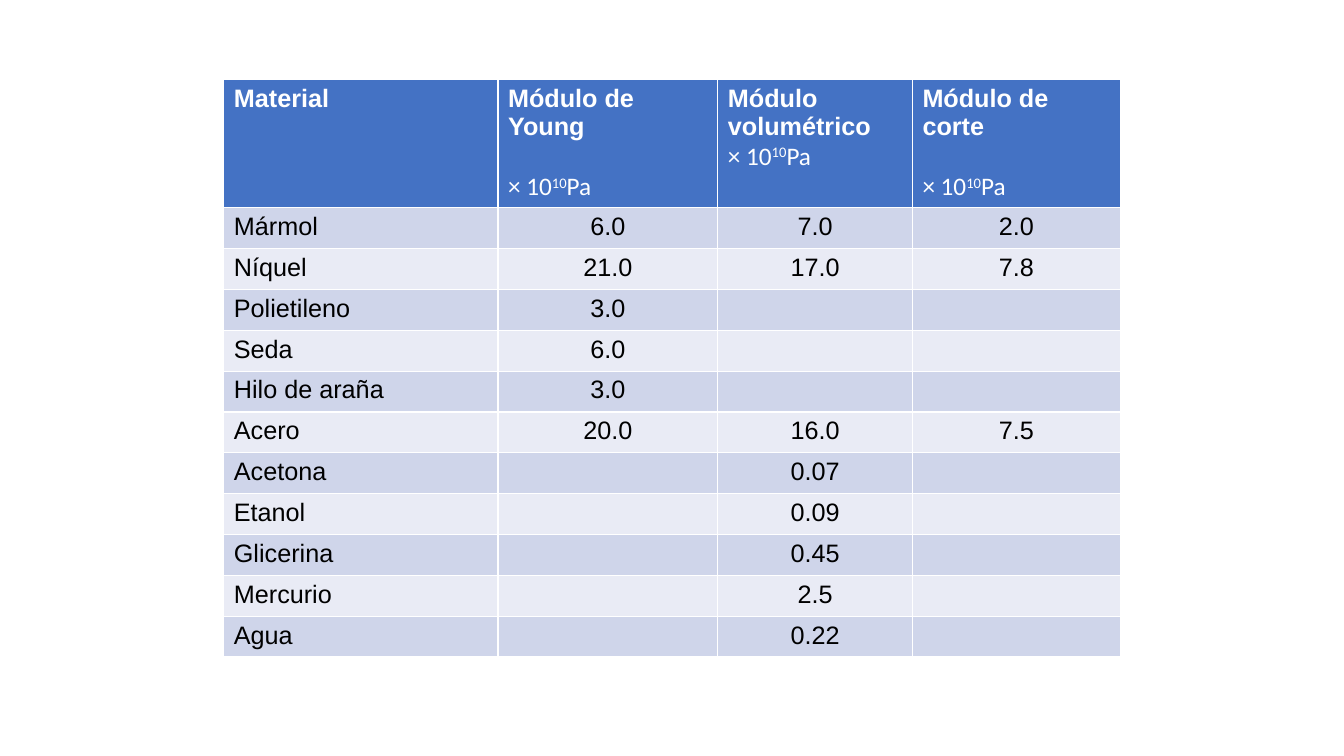
"""Build a slide with a table of elastic moduli by material."""
from pptx import Presentation
from pptx.dml.color import RGBColor
from pptx.enum.text import PP_ALIGN
from pptx.util import Inches, Pt

LEFT, CENTER = PP_ALIGN.LEFT, PP_ALIGN.CENTER
WHITE = RGBColor(0xFF, 0xFF, 0xFF)
BLACK = RGBColor(0, 0, 0)
BLUE = RGBColor(0x44, 0x72, 0xC4)
BANDS = [RGBColor(0xCF, 0xD5, 0xEA), RGBColor(0xE9, 0xEB, 0xF5)]

HEADS = [("Material", None), ("Módulo de Young", 22),
         ("Módulo volumétrico", 0), ("Módulo de corte", 22)]
UNIT = [("× 10", 0), ("10", 30000), ("Pa", 0)]
ROWS = [
    ("Mármol", "6.0", "7.0", "2.0"),
    ("Níquel", "21.0", "17.0", "7.8"),
    ("Polietileno", "3.0", "", ""),
    ("Seda", "6.0", "", ""),
    ("Hilo de araña", "3.0", "", ""),
    ("Acero", "20.0", "16.0", "7.5"),
    ("Acetona", "", "0.07", ""),
    ("Etanol", "", "0.09", ""),
    ("Glicerina", "", "0.45", ""),
    ("Mercurio", "", "2.5", ""),
    ("Agua", "", "0.22", ""),
]
WIDTHS = [2.72, 2.18, 1.93, 2.06]
HEAD_H, BODY_H = 1.27, 4.46


def style(para, color, bold, face="Arial"):
    font = para.font
    font.name, font.size, font.bold = face, Pt(18), bold
    font.color.rgb = color


def fill(cell, color):
    cell.fill.solid()
    cell.fill.fore_color.rgb = color


prs = Presentation()
prs.slide_width, prs.slide_height = Inches(13.33), Inches(7.5)
slide = prs.slides.add_slide(prs.slide_layouts[6])

table = slide.shapes.add_table(
    len(ROWS) + 1, len(HEADS), Inches(2.22), Inches(0.79),
    Inches(sum(WIDTHS)), Inches(HEAD_H + BODY_H)).table
for col, width in zip(table.columns, WIDTHS):
    col.width = Inches(width)
for row in table.rows:
    row.height = Inches(BODY_H / len(ROWS))
table.rows[0].height = Inches(HEAD_H)

for c, (head, gap) in enumerate(HEADS):
    cell = table.cell(0, c)
    fill(cell, BLUE)
    cell.text = head
    style(cell.text_frame.paragraphs[0], WHITE, True)
    if gap is not None:
        para = cell.text_frame.add_paragraph()
        para.space_before = Pt(gap)
        style(para, WHITE, False, "Calibri")
        for text, shift in UNIT:
            run = para.add_run()
            run.text = text
            run.font.bold = False
            if shift:
                run._r.get_or_add_rPr().set("baseline", str(shift))

for r, values in enumerate(ROWS):
    for c, value in enumerate(values):
        cell = table.cell(r + 1, c)
        fill(cell, BANDS[r % 2])
        cell.text = value
        para = cell.text_frame.paragraphs[0]
        para.alignment = CENTER if c else LEFT
        style(para, BLACK, False)

prs.save("out.pptx")
